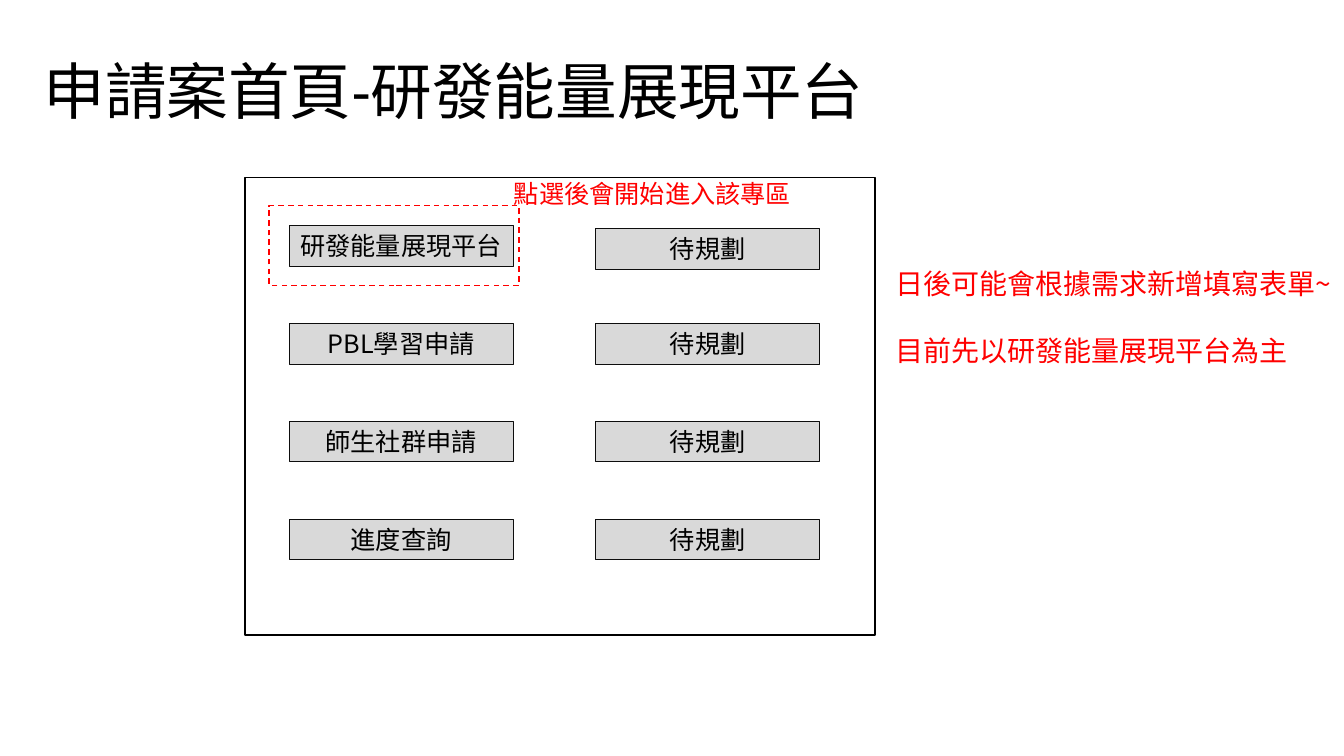
"""Build the application home page slide with its menu of buttons."""
from pptx import Presentation
from pptx.dml.color import RGBColor
from pptx.enum.dml import MSO_LINE
from pptx.enum.shapes import MSO_SHAPE
from pptx.enum.text import MSO_ANCHOR, PP_ALIGN
from pptx.util import Pt

RECTANGLE = MSO_SHAPE.RECTANGLE
DASH = MSO_LINE.DASH
TOP, MIDDLE = MSO_ANCHOR.TOP, MSO_ANCHOR.MIDDLE
LEFT, CENTER = PP_ALIGN.LEFT, PP_ALIGN.CENTER
BLACK = RGBColor(0x00, 0x00, 0x00)
NEAR_BLACK = RGBColor(0x0D, 0x0D, 0x0D)
WHITE = RGBColor(0xFF, 0xFF, 0xFF)
GRAY = RGBColor(0xD9, 0xD9, 0xD9)
RED = RGBColor(0xFF, 0x00, 0x00)
BODY_FONT = "Noto Sans CJK SC"


def add_rectangle(left, top, width, height, fill, line, line_width):
    shape = slide.shapes.add_shape(RECTANGLE, Pt(left), Pt(top), Pt(width), Pt(height))
    shape.shadow.inherit = False
    if fill is None:
        shape.fill.background()
    else:
        shape.fill.solid()
        shape.fill.fore_color.rgb = fill
    shape.line.color.rgb = line
    shape.line.width = Pt(line_width)
    return shape


def write_text(shape, lines, size, color, font=BODY_FONT, alignment=LEFT, anchor=TOP, wrap=True):
    frame = shape.text_frame
    frame.word_wrap = wrap
    frame.vertical_anchor = anchor
    frame.text = "\n".join(lines)
    for paragraph in frame.paragraphs:
        paragraph.alignment = alignment
        paragraph.font.name = font
        paragraph.font.size = Pt(size)
        paragraph.font.color.rgb = color
    return frame.paragraphs


presentation = Presentation()
presentation.slide_width = Pt(960)
presentation.slide_height = Pt(540)
slide = presentation.slides.add_slide(presentation.slide_layouts[6])

title = slide.shapes.add_textbox(Pt(24), Pt(15), Pt(828), Pt(104.5))
title_lines = write_text(title, ["申請案首頁-研發能量展現平台"], 44, BLACK, "Calibri", anchor=MIDDLE)
title_lines[0].line_spacing = 0.9

add_rectangle(175, 126.7, 450, 327, WHITE, BLACK, 1)

BUTTON_ROWS = [
    ("研發能量展現平台", 161.3, 163.4),
    ("PBL學習申請", 231.1, 231.1),
    ("師生社群申請", 301, 301),
    ("進度查詢", 370.8, 370.8),
]
for label, left_top, right_top in BUTTON_ROWS:
    for text, left, top in ((label, 206.6, left_top), ("待規劃", 425.5, right_top)):
        button = add_rectangle(left, top, 160, 29, GRAY, NEAR_BLACK, 0.75)
        write_text(button, [text], 18, BLACK, alignment=CENTER)

hint = slide.shapes.add_textbox(Pt(360), Pt(123.8), Pt(214.6), Pt(29))
write_text(hint, ["點選後會開始進入該專區"], 18, RED, wrap=False)

highlight = add_rectangle(192.2, 146.9, 178.6, 56.9, None, RED, 1)
highlight.line.dash_style = DASH

remark = slide.shapes.add_textbox(Pt(632.2), Pt(186.5), Pt(327.6), Pt(80))
remark_lines = write_text(
    remark, ["日後可能會根據需求新增填寫表單~", "目前先以研發能量展現平台為主"], 20, RED)
remark_lines[1].space_before = Pt(24)

presentation.save("out.pptx")
